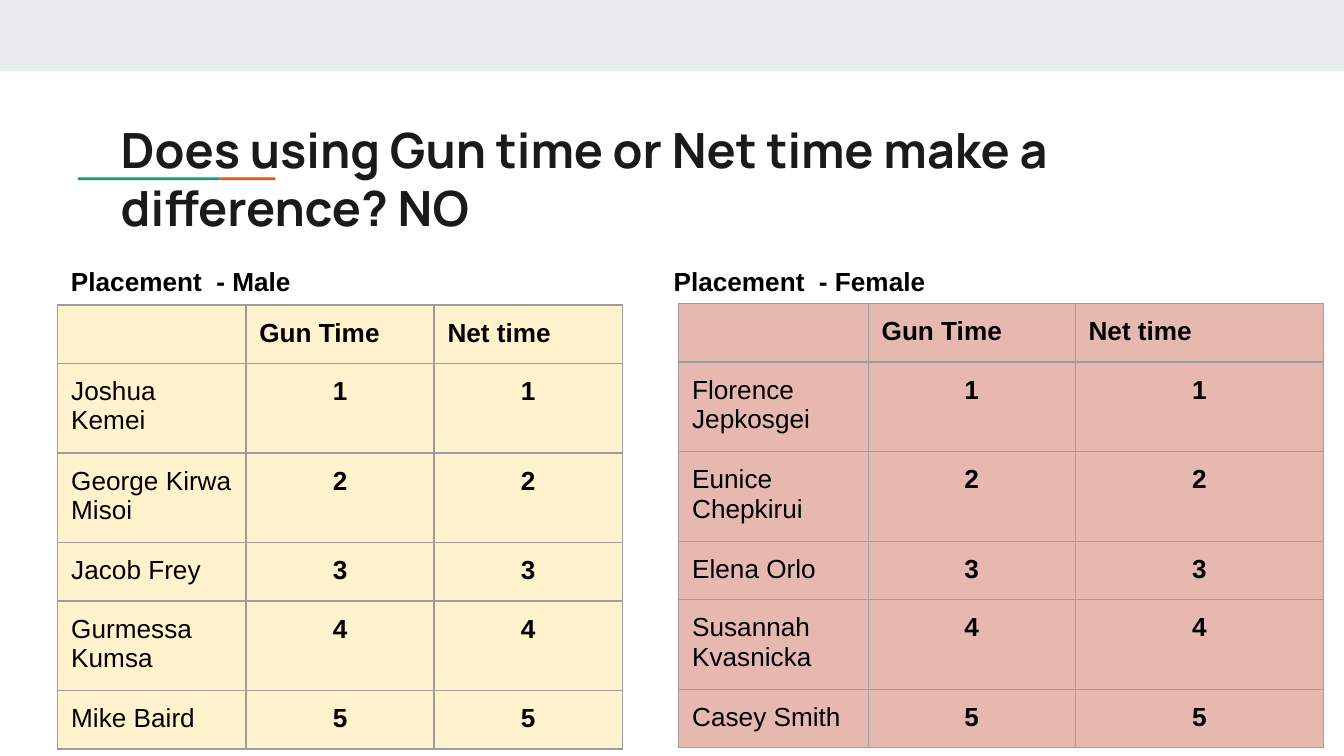
from lxml.etree import SubElement
from pptx import Presentation
from pptx.dml.color import RGBColor
from pptx.enum.shapes import MSO_SHAPE
from pptx.enum.text import PP_ALIGN
from pptx.oxml.ns import qn
from pptx.util import Inches, Pt

MEN = ["Joshua Kemei", "George Kirwa Misoi", "Jacob Frey", "Gurmessa Kumsa", "Mike Baird"]
WOMEN = ["Florence Jepkosgei", "Eunice Chepkirui", "Elena Orlo", "Susannah Kvasnicka", "Casey Smith"]


def paint(fill, color):
    """Make a fill solid in a hex colour."""
    fill.solid()
    fill.fore_color.rgb = RGBColor.from_string(color)


def style(para, size, bold=True, name="Arial", color="000000"):
    """Set the font of a paragraph."""
    font = para.font
    font.size, font.bold, font.name = Pt(size), bold, name
    paint(font.fill, color)


def bar(slide, left, top, width, height, color):
    """Draw a plain filled rectangle."""
    box = [Inches(v) for v in (left, top, width, height)]
    shape = slide.shapes.add_shape(MSO_SHAPE.RECTANGLE, *box)
    shape.shadow.inherit = False
    shape.line.fill.background()
    paint(shape.fill, color)


def pad(part):
    """Give a cell or text frame equal margins."""
    part.margin_left = part.margin_right = Inches(0.1)
    part.margin_top = part.margin_bottom = Inches(0.1)


def label(slide, left, top, width, height, text):
    """Add a wrapped text box and return its paragraph."""
    box = [Inches(v) for v in (left, top, width, height)]
    frame = slide.shapes.add_textbox(*box).text_frame
    frame.word_wrap = True
    pad(frame)
    para = frame.paragraphs[0]
    para.text = text
    return para


def header(slide):
    """Place the top band, the accent rule and the title."""
    bar(slide, 0, 0, 10, 0.53, "E9EDEE")
    bar(slide, 0.58, 1.32, 1.06, 0.02, "1A9988")
    bar(slide, 1.64, 1.32, 0.41, 0.02, "EB5600")
    title = label(slide, 0.8, 0.79, 8.41, 0.59, "Does using Gun time or Net time make a difference? NO")
    style(title, 26, name="Manrope", color="1A1A1A")


def heading(slide, left, width, text):
    """Place the heading above a table."""
    para = label(slide, left, 1.84, width, 0.43, text)
    para.line_spacing, para.space_after = 1.15, Pt(16)
    style(para, 14)


def edge(cell, color):
    """Draw thin borders on all sides of a cell."""
    props = cell._tc.get_or_add_tcPr()
    for side in ("a:lnL", "a:lnR", "a:lnT", "a:lnB"):
        line = SubElement(props, qn(side), w=str(Pt(0.75)))
        fill = SubElement(line, qn("a:solidFill"))
        SubElement(fill, qn("a:srgbClr"), val=color)


def ranks(slide, left, top, widths, rows, names, color):
    """Place a table of runners with their two ranks."""
    data = [["", "Gun Time", "Net time"]]
    data += [[name, str(n), str(n)] for n, name in enumerate(names, 1)]
    box = [Inches(v) for v in (left, top, sum(widths), 3.3)]
    frame = slide.shapes.add_table(len(data), len(widths), *box)
    table = frame.table
    table.first_row = table.horz_banding = False
    for col, width in zip(table.columns, widths):
        col.width = Inches(width)
    for r, texts in enumerate(data):
        table.rows[r].height = Inches(rows[r])
        for c, text in enumerate(texts):
            cell = table.cell(r, c)
            pad(cell)
            edge(cell, "9E9E9E")
            paint(cell.fill, color)
            para = cell.text_frame.paragraphs[0]
            para.text = text
            style(para, 14, bold=r == 0 or c > 0)
            if r and c:
                para.alignment = PP_ALIGN.CENTER
    frame.height = Inches(3.3)


def main():
    """Build and save the slide."""
    deck = Presentation()
    deck.slide_width = Inches(10)
    deck.slide_height = deck.slide_width * 9 // 16
    slide = deck.slides.add_slide(deck.slide_layouts[6])
    header(slide)
    heading(slide, 0.43, 4.43, "Placement  - Male")
    ranks(slide, 0.43, 2.27, [1.4] * 3, [0.43, 0.64, 0.64] + [0.39] * 3, MEN, "FFF2CC")
    heading(slide, 4.86, 4.13, " Placement  - Female")
    ranks(slide, 5.05, 2.26, [1.41, 1.54, 1.85], [0.29] + [0.43] * 4 + [0], WOMEN, "E6B8AF")
    deck.save("out.pptx")


main()
